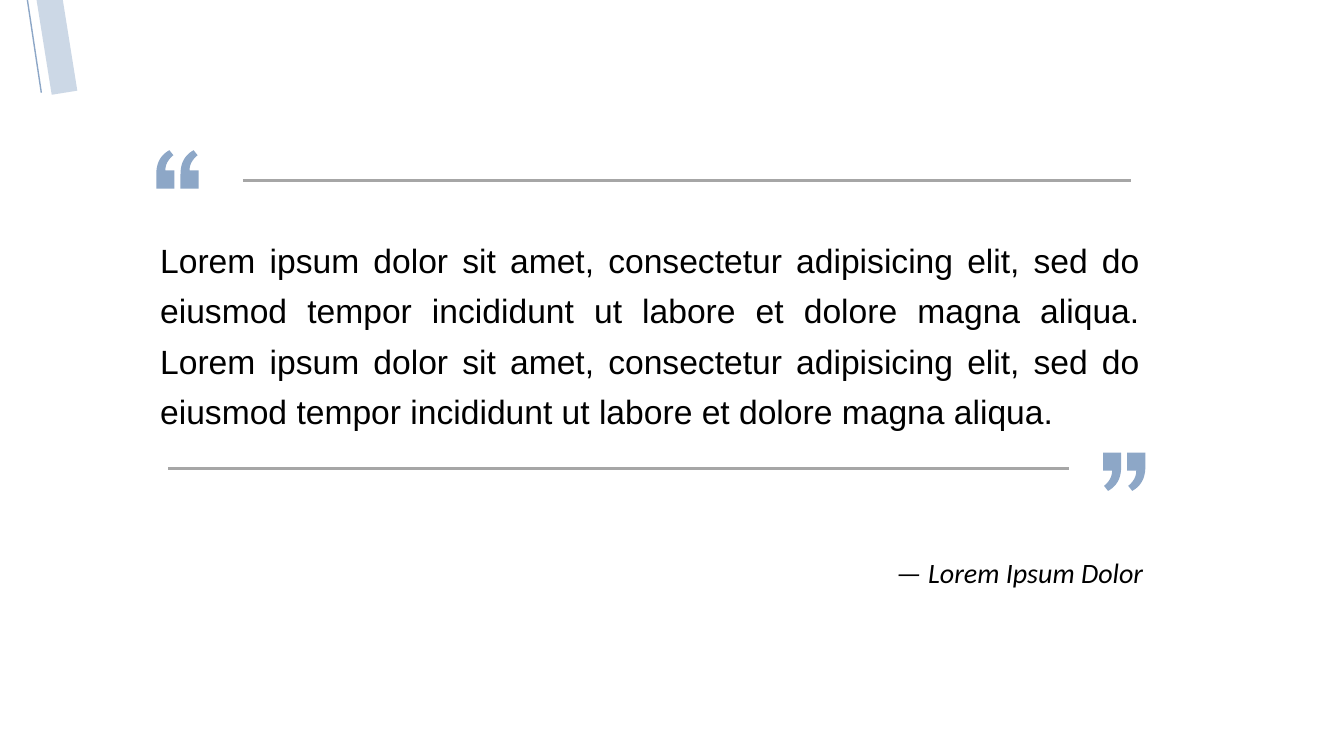
"""Builds a quotation slide with rules, quote marks and an attribution."""
from lxml import etree
from pptx import Presentation
from pptx.dml.color import RGBColor
from pptx.enum.text import PP_ALIGN
from pptx.oxml.ns import qn
from pptx.util import Inches, Pt

JUSTIFY, RIGHT = PP_ALIGN.JUSTIFY, PP_ALIGN.RIGHT
COLORS = {"accent": "8DA7C7", "rule": "A6A6A6", "text": "000000"}

SENTENCE = ("Lorem ipsum dolor sit amet, consectetur adipisicing elit, sed do "
            "eiusmod tempor incididunt ut labore et dolore magna aliqua.")
QUOTE = f"{SENTENCE} {SENTENCE}"
AUTHOR = "— Lorem Ipsum Dolor"

LINES = [
    ((0.26, -0.08, 0.41, 0.92), "accent", 1, 100),
    ((0.48, -0.08, 0.64, 0.92), "accent", 18.5, 44),
    ((2.41, 1.79, 11.22, 1.79), "rule", 2, 100),
    ((1.67, 4.65, 10.6, 4.65), "rule", 2, 100),
]
MARK_W, MARK_H, MARK_STEP = 0.18, 0.38, 0.24
INNER_CURVE = [(0.17, 0.05), (0.12, 0.09), (0.09, 0.14), (0.09, 0.2)]
BASE = [(0.18, 0.2), (0.18, 0.38), (0, 0.38)]
OUTER_CURVE = [(0, 0.24), (0, 0.13), (0.04, 0.05), (0.13, 0)]
QUOTE_MARKS = [(1.55, 1.49, False), (10.94, 4.49, True)]

TEXTS = [
    (QUOTE, (1.49, 2.23, 9.91, 2.09), (0.1, 0.05), JUSTIFY, 1.25, "Arial", 24, False),
    (AUTHOR, (6.57, 5.45, 4.83, 0.75), (0.06, 0.06), RIGHT, 1, "Calibri", 20, True),
]


def rgb(name):
    return RGBColor.from_string(COLORS[name])


def bezier(points, steps=12):
    curve = []
    for i in range(steps + 1):
        t = i / steps
        weights = ((1 - t) ** 3, 3 * t * (1 - t) ** 2, 3 * t * t * (1 - t), t ** 3)
        curve.append(tuple(sum(w * pt[axis] for w, pt in zip(weights, points))
                           for axis in (0, 1)))
    return curve


def add_line(s, ends, color, width, opacity):
    c = s.shapes.add_connector(1, *map(Inches, ends))
    c.line.color.rgb = rgb(color)
    c.line.width = Pt(width)
    sp_pr = c.line._get_or_add_ln().getparent()
    if opacity < 100:
        clr = next(sp_pr.iter(qn("a:srgbClr")))
        etree.SubElement(clr, qn("a:alpha")).set("val", str(opacity * 1000))
    etree.SubElement(sp_pr, qn("a:effectLst"))


def add_mark(s, left, top, turned):
    outline = bezier(INNER_CURVE) + BASE + bezier(OUTER_CURVE)
    if turned:
        outline = [(MARK_W - x, MARK_H - y) for x, y in outline]
    points = [(Inches(left + x), Inches(top + y)) for x, y in outline]
    builder = s.shapes.build_freeform(*points[0])
    builder.add_line_segments(points[1:], close=True)
    sp = builder.convert_to_shape()
    sp.shadow.inherit = False
    sp.fill.solid()
    sp.fill.fore_color.rgb = rgb("accent")
    sp.line.fill.background()


def add_text(s, text, box, insets, align, spacing, font, size, italic):
    tf = s.shapes.add_textbox(*map(Inches, box)).text_frame
    tf.word_wrap = True
    tf.margin_left = tf.margin_right = Inches(insets[0])
    tf.margin_top = tf.margin_bottom = Inches(insets[1])
    p = tf.paragraphs[0]
    p.text = text
    p.alignment = align
    p.line_spacing = spacing
    f = p.runs[0].font
    f.name, f.size, f.italic = font, Pt(size), italic
    f.color.rgb = rgb("text")


def main():
    prs = Presentation()
    prs.slide_width, prs.slide_height = Inches(13.33), Inches(7.5)
    s = prs.slides.add_slide(prs.slide_layouts[6])
    for line in LINES:
        add_line(s, *line)
    for left, top, turned in QUOTE_MARKS:
        for i in range(2):
            add_mark(s, left + i * MARK_STEP, top, turned)
    for item in TEXTS:
        add_text(s, *item)
    prs.save("out.pptx")


if __name__ == "__main__":
    main()
